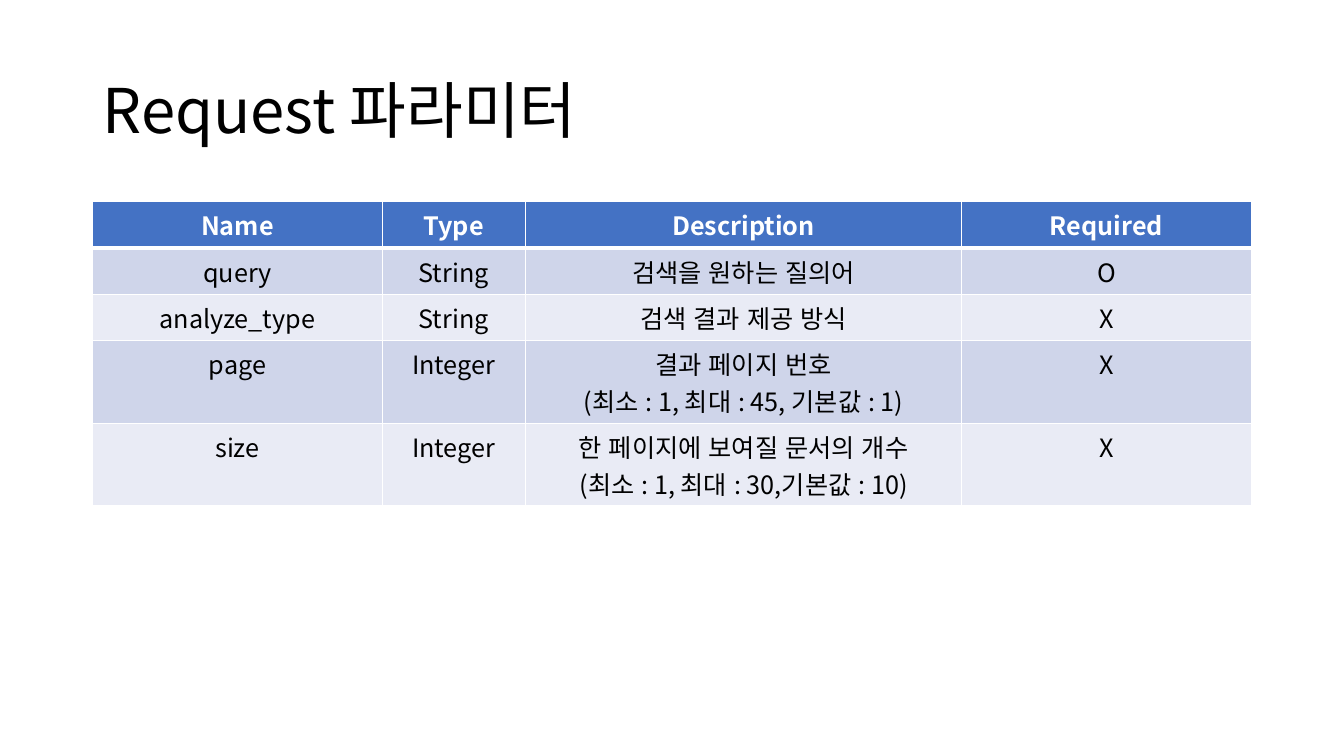
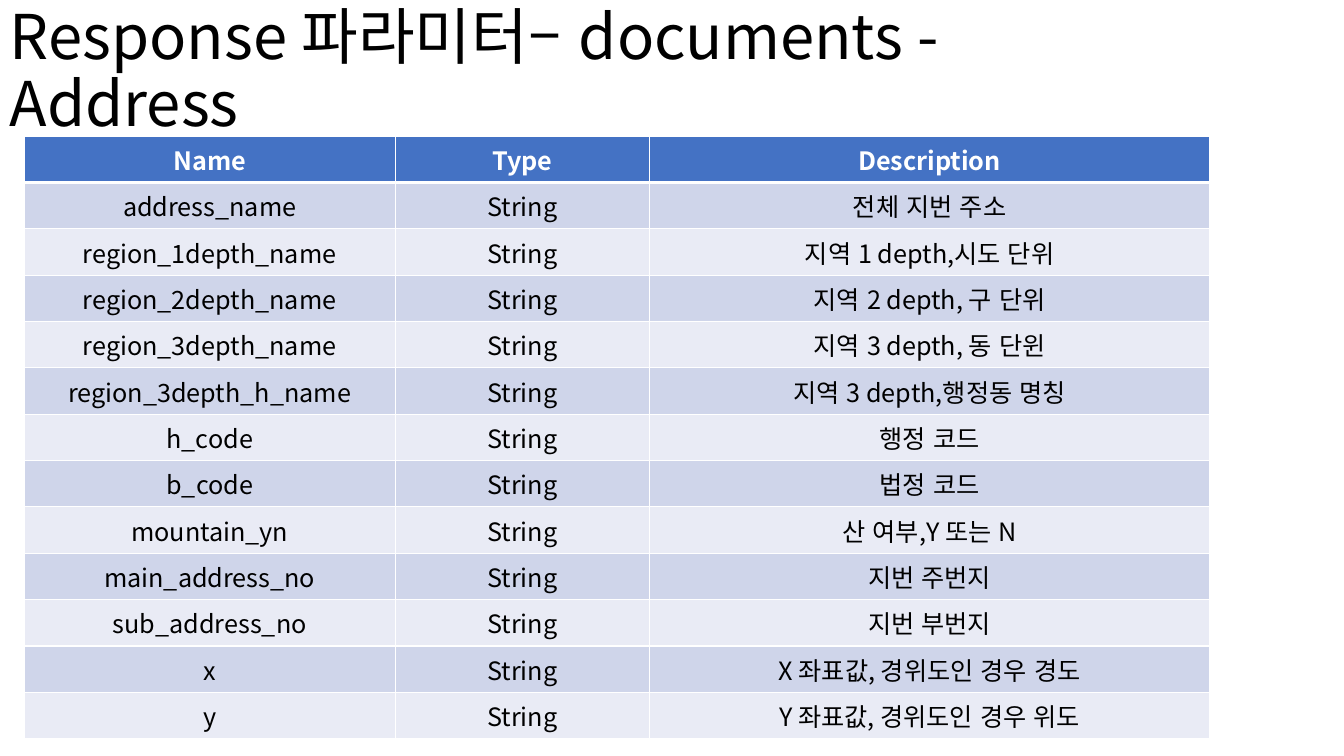
from dataclasses import dataclass

import pptx
import pptx.dml.color
import pptx.enum.lang
import pptx.enum.text
import pptx.oxml
import pptx.oxml.ns
import pptx.presentation
import pptx.slide
import pptx.table
import pptx.text.text
import pptx.util
from pptx.util import Inches

# Shared style
FONT = "Noto Sans CJK KR"
BLACK = "000000"
WHITE = "FFFFFF"
HEADER_FILL = "4472C4"
BAND_FILLS = ("CFD5EA", "E9EBF5")
TITLE_SIZE, CELL_SIZE = 44, 18
TITLE_WIDTH, TITLE_HEIGHT = 11.5, 1.45
LINE_HEIGHT, CELL_MARGIN = 0.36, 0.05
THIN_LINE, HEADER_LINE = 1, 3


@dataclass(frozen=True)
class ParameterPage:
    title: str
    title_at: tuple[float, float]
    table_at: tuple[float, float]
    column_widths: tuple[float, ...]
    rows: tuple[tuple[str, ...], ...]


# Page content: the first row of each table is its header
PAGES = (
    ParameterPage(
        title="Request 파라미터",
        title_at=(0.92, 0.4),
        table_at=(0.92, 2),
        column_widths=(2.87, 1.42, 4.33, 2.87),
        rows=(
            ("Name", "Type", "Description", "Required"),
            ("query", "String", "검색을 원하는 질의어", "O"),
            ("analyze_type", "String", "검색 결과 제공 방식", "X"),
            ("page", "Integer",
             "결과 페이지 번호\n(최소 : 1, 최대 : 45, 기본값 : 1)", "X"),
            ("size", "Integer",
             "한 페이지에 보여질 문서의 개수\n(최소 : 1, 최대 : 30,기본값 : 10)", "X"),
        ),
    ),
    ParameterPage(
        title="Response 파라미터– documents - Address",
        title_at=(0, 0),
        table_at=(0.24, 1.35),
        column_widths=(3.68, 2.52, 5.56),
        rows=(
            ("Name", "Type", "Description"),
            ("address_name", "String", "전체 지번 주소"),
            ("region_1depth_name", "String", "지역 1 depth,시도 단위"),
            ("region_2depth_name", "String", "지역 2 depth, 구 단위"),
            ("region_3depth_name", "String", "지역 3 depth, 동 단윈"),
            ("region_3depth_h_name", "String", "지역 3 depth,행정동 명칭"),
            ("h_code", "String", "행정 코드"),
            ("b_code", "String", "법정 코드"),
            ("mountain_yn", "String", "산 여부,Y 또는 N"),
            ("main_address_no", "String", "지번 주번지"),
            ("sub_address_no", "String", "지번 부번지"),
            ("x", "String", "X 좌표값, 경위도인 경우 경도"),
            ("y", "String", "Y 좌표값, 경위도인 경우 위도"),
        ),
    ),
)


def color(value: str) -> pptx.dml.color.RGBColor:
    return pptx.dml.color.RGBColor.from_string(value)


def add_run(paragraph: pptx.text.text._Paragraph, text: str, size: float,
            text_color: str, bold: bool = False) -> None:
    run = paragraph.add_run()
    run.text = text
    run.font.size = pptx.util.Pt(size)
    run.font.bold = bold
    run.font.color.rgb = color(text_color)
    run.font.name = FONT
    run.font.language_id = pptx.enum.lang.MSO_LANGUAGE_ID.KOREAN
    # Hangul takes its typeface from the East Asian font
    east_asian = pptx.oxml.parse_xml(
        f'<a:ea {pptx.oxml.ns.nsdecls("a")} typeface="{FONT}"/>')
    run._r.get_or_add_rPr().find(pptx.oxml.ns.qn("a:latin")).addnext(east_asian)


def add_title(slide: pptx.slide.Slide, page: ParameterPage) -> None:
    left, top = page.title_at
    title = slide.shapes.add_textbox(Inches(left), Inches(top),
                                     Inches(TITLE_WIDTH), Inches(TITLE_HEIGHT))
    frame = title.text_frame
    frame.word_wrap = True
    frame.vertical_anchor = pptx.enum.text.MSO_ANCHOR.MIDDLE
    frame.paragraphs[0].line_spacing = 0.9
    add_run(frame.paragraphs[0], page.title, TITLE_SIZE, BLACK)


def row_height(texts: tuple[str, ...]) -> float:
    line_count = max(text.count("\n") + 1 for text in texts)
    return line_count * LINE_HEIGHT + 2 * CELL_MARGIN


def set_borders(cell: pptx.table._Cell, row_index: int) -> None:
    widths = {
        "lnL": THIN_LINE,
        "lnR": THIN_LINE,
        "lnT": HEADER_LINE if row_index == 1 else THIN_LINE,
        "lnB": HEADER_LINE if row_index == 0 else THIN_LINE,
    }
    properties = cell._tc.get_or_add_tcPr()
    for side, width in widths.items():
        properties.append(pptx.oxml.parse_xml(
            f'<a:{side} {pptx.oxml.ns.nsdecls("a")} w="{pptx.util.Pt(width)}">'
            f'<a:solidFill><a:srgbClr val="{WHITE}"/></a:solidFill></a:{side}>'))


def fill_cell(cell: pptx.table._Cell, text: str, row_index: int) -> None:
    is_header = row_index == 0
    # Borders precede the fill in the cell properties
    set_borders(cell, row_index)
    cell.fill.solid()
    cell.fill.fore_color.rgb = color(
        HEADER_FILL if is_header else BAND_FILLS[(row_index - 1) % 2])
    cell.margin_top = cell.margin_bottom = Inches(CELL_MARGIN)
    frame = cell.text_frame
    for line_index, line in enumerate(text.split("\n")):
        paragraph = frame.add_paragraph() if line_index else frame.paragraphs[0]
        paragraph.alignment = pptx.enum.text.PP_ALIGN.CENTER
        add_run(paragraph, line, CELL_SIZE,
                WHITE if is_header else BLACK, bold=is_header)


def add_parameter_table(slide: pptx.slide.Slide, page: ParameterPage) -> None:
    left, top = page.table_at
    heights = [row_height(texts) for texts in page.rows]
    table = slide.shapes.add_table(
        len(page.rows), len(page.column_widths), Inches(left), Inches(top),
        Inches(sum(page.column_widths)), Inches(sum(heights))).table
    table.horz_banding = False
    for column, width in zip(table.columns, page.column_widths):
        column.width = Inches(width)
    for row_index, texts in enumerate(page.rows):
        table.rows[row_index].height = Inches(heights[row_index])
        for column_index, text in enumerate(texts):
            fill_cell(table.cell(row_index, column_index), text, row_index)


def add_page(presentation: pptx.presentation.Presentation,
             page: ParameterPage) -> None:
    slide = presentation.slides.add_slide(presentation.slide_layouts[6])
    add_title(slide, page)
    add_parameter_table(slide, page)


def main() -> None:
    presentation = pptx.Presentation()
    presentation.slide_width = Inches(13.33)
    presentation.slide_height = Inches(7.5)
    for page in PAGES:
        add_page(presentation, page)
    presentation.save("out.pptx")


if __name__ == "__main__":
    main()
